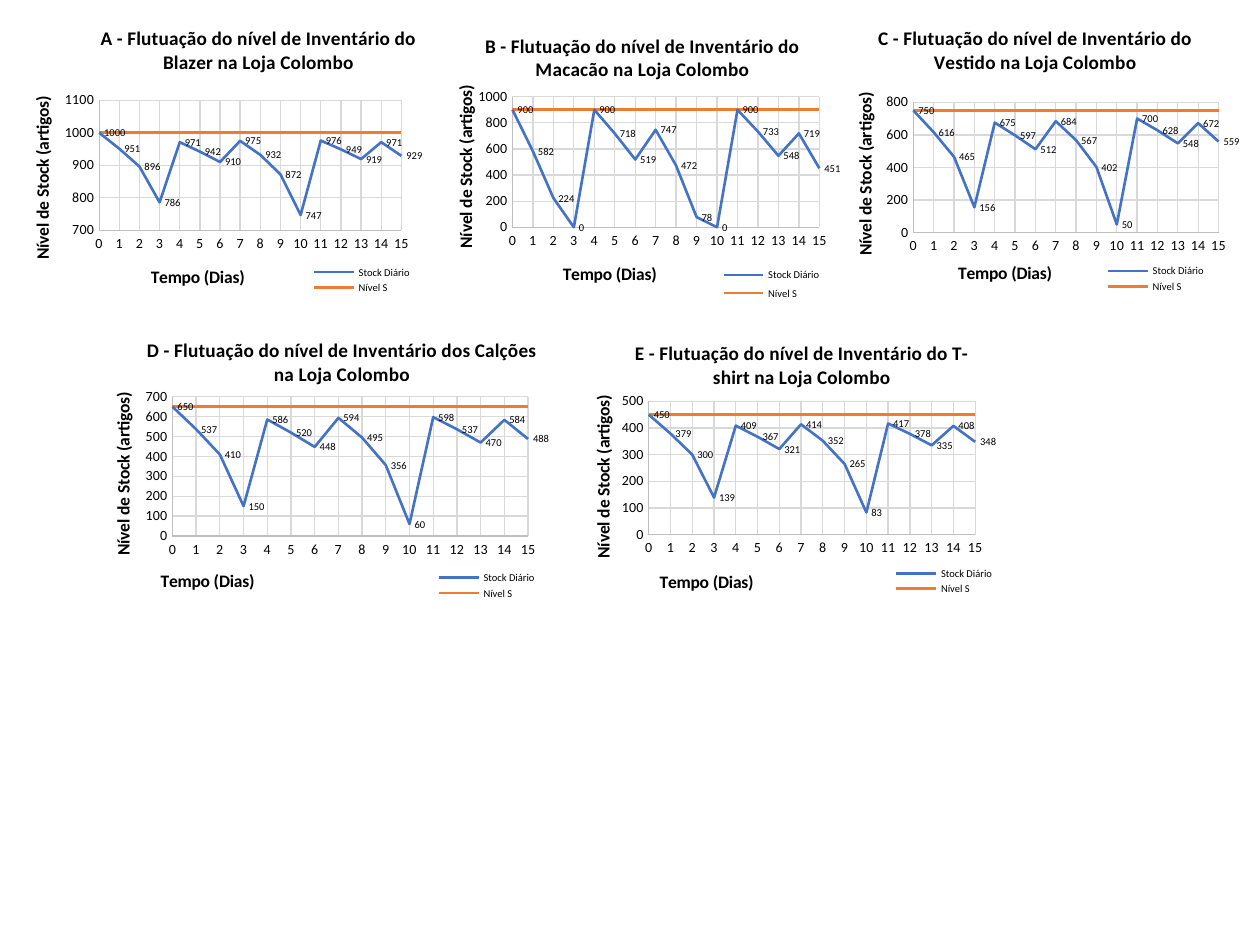
"""Build a slide of five scatter charts showing stock levels per article."""
from lxml import etree
from pptx import Presentation
from pptx import util as u
from pptx.chart.data import XyChartData
from pptx.chart.datalabel import DataLabels
from pptx.dml.color import RGBColor
from pptx.enum import chart as charts
from pptx.oxml import ns

COLORS = {"text": "000000", "stock": "4472C4", "level": "ED7D31",
          "axis": "BFBFBF", "grid": "D9D9D9"}
BOLD_TITLE = {"size": u.Pt(11), "bold": True, "name": "Calibri"}
BOLD_AXIS = {"size": u.Pt(10), "bold": True, "name": "Calibri"}
TICK = {"size": u.Pt(8), "bold": False, "name": "Calibri"}
SMALL = {"size": u.Pt(6), "bold": False, "name": "Calibri"}


def style_font(font, values):
    for name, value in values.items():
        setattr(font, name, value)
    font.color.rgb = RGBColor.from_string(COLORS["text"])


def place(element, values, inner=False):
    for old in element.findall(ns.qn("c:layout")):
        element.remove(old)
    layout = etree.Element(ns.qn("c:layout"))
    manual = etree.SubElement(layout, ns.qn("c:manualLayout"))
    settings = [("layoutTarget", "inner")] if inner else []
    settings += [("xMode", "edge"), ("yMode", "edge")]
    settings += zip("xywh", values)
    for name, value in settings:
        etree.SubElement(manual, ns.qn("c:" + name)).set("val", str(value))
    first = element[0] if len(element) else None
    if first is not None and first.tag in (ns.qn("c:tx"), ns.qn("c:legendPos")):
        first.addnext(layout)
    else:
        element.insert(0, layout)


panels = [
    {"letter": "A", "article": "do Blazer", "box": (0.11, 0.13, 3.37, 2.29),
     "plot": (0.201, 0.291, 0.712, 0.451), "title": (0.77, 0.17),
     "days": (1.17, 2.08), "levels": (0.22, 0.74), "legend": (2.44, 2.09, 0.87, 0.26),
     "stock": [1000, 951, 896, 786, 971, 942, 910, 975,
               932, 872, 747, 976, 949, 919, 971, 929]},
    {"letter": "B", "article": "do Macacão", "box": (3.39, 0.09, 3.37, 2.33),
     "plot": (0.201, 0.291, 0.723, 0.445), "title": (3.82, 0.23),
     "days": (4.44, 2.06), "levels": (3.58, 0.65), "legend": (5.69, 2.09, 0.87, 0.33),
     "stock": [900, 582, 224, 0, 900, 718, 519, 747,
               472, 78, 0, 900, 733, 548, 719, 451]},
    {"letter": "C", "article": "do Vestido", "box": (6.6, 0.13, 3.84, 2.29),
     "plot": (0.169, 0.298, 0.631, 0.452), "title": (6.94, 0.17),
     "days": (7.58, 2.05), "levels": (6.75, 0.71), "legend": (8.74, 2.08, 0.87, 0.26),
     "stock": [750, 616, 465, 156, 675, 597, 512, 684,
               567, 402, 50, 700, 628, 548, 672, 559]},
    {"letter": "D", "article": "dos Calções", "box": (0.71, 2.5, 3.97, 2.33),
     "plot": (0.166, 0.279, 0.711, 0.474), "title": (1.14, 2.65),
     "days": (1.25, 4.5), "levels": (0.86, 3.09), "legend": (3.43, 4.51, 0.87, 0.27),
     "stock": [650, 537, 410, 150, 586, 520, 448, 594,
               495, 356, 60, 598, 537, 470, 584, 488]},
    {"letter": "E", "article": "do T-shirt", "box": (4.53, 2.53, 3.62, 2.31),
     "plot": (0.171, 0.284, 0.716, 0.458), "title": (5.01, 2.67),
     "days": (5.21, 4.5), "levels": (4.67, 3.11), "legend": (7.06, 4.49, 0.87, 0.25),
     "stock": [450, 379, 300, 139, 409, 367, 321, 414,
               352, 265, 83, 417, 378, 335, 408, 348]},
]

presentation = Presentation()
presentation.slide_width = u.Inches(10)
presentation.slide_height = u.Inches(7.5)
slide = presentation.slides.add_slide(presentation.slide_layouts[6])

for panel in panels:
    left, top, width, height = panel["box"]
    stock = panel["stock"]
    data = XyChartData()
    for name, values in (("Stock Diário", stock), ("Nível S", stock[:1] * len(stock))):
        series = data.add_series(name)
        for day, value in enumerate(values):
            series.add_data_point(day, value)
    chart = slide.shapes.add_chart(
        charts.XL_CHART_TYPE.XY_SCATTER_LINES_NO_MARKERS,
        *[u.Inches(length) for length in panel["box"]], data).chart
    style_font(chart.font, TICK)

    plot = chart.plots[0]
    plot.vary_by_categories = False
    for series, color in zip(plot.series, ("stock", "level")):
        series.marker.style = charts.XL_MARKER_STYLE.NONE
        series.format.line.width = u.Pt(1.5)
        series.format.line.color.rgb = RGBColor.from_string(COLORS[color])
    labels = DataLabels(plot.series[0]._element.get_or_add_dLbls())
    labels.show_value = True
    labels.position = charts.XL_LABEL_POSITION.RIGHT
    style_font(labels.font, SMALL)

    day_axis, level_axis = chart.category_axis, chart.value_axis
    for axis in (day_axis, level_axis):
        axis.has_major_gridlines = True
        axis.major_tick_mark = axis.minor_tick_mark = charts.XL_TICK_MARK.NONE
        style_font(axis.tick_labels.font, TICK)
        for line, color in ((axis.format.line, "axis"),
                            (axis.major_gridlines.format.line, "grid")):
            line.width = u.Pt(0.75)
            line.color.rgb = RGBColor.from_string(COLORS[color])
    day_axis.maximum_scale = 15
    day_axis.major_unit = 1
    if panel["letter"] == "A":
        level_axis.minimum_scale, level_axis.maximum_scale = 700, 1100

    heading = f"{panel['letter']} - Flutuação do nível de Inventário {panel['article']} na Loja Colombo"
    chart.has_title = True
    for title, words, font, spot in (
            (chart.chart_title, heading, BOLD_TITLE, "title"),
            (day_axis.axis_title, "Tempo (Dias)", BOLD_AXIS, "days"),
            (level_axis.axis_title, "Nível de Stock (artigos)", BOLD_AXIS, "levels")):
        title.text_frame.text = words
        style_font(title.text_frame.paragraphs[0].runs[0].font, font)
        x, y = panel[spot]
        place(title._element, (round((x - left) / width, 3), round((y - top) / height, 3)))
    turned = level_axis.axis_title._element.find(".//" + ns.qn("a:bodyPr"))
    turned.set("rot", "-5400000")
    turned.set("vert", "horz")

    chart.has_legend = True
    chart.legend.position = charts.XL_LEGEND_POSITION.RIGHT
    chart.legend.include_in_layout = False
    style_font(chart.legend.font, SMALL)
    x, y, w, h = panel["legend"]
    fractions = ((x - left) / width, (y - top) / height, w / width, h / height)
    place(chart.legend._element, [round(value, 3) for value in fractions])
    place(chart.element.find(".//" + ns.qn("c:plotArea")), panel["plot"], inner=True)

presentation.save("out.pptx")
